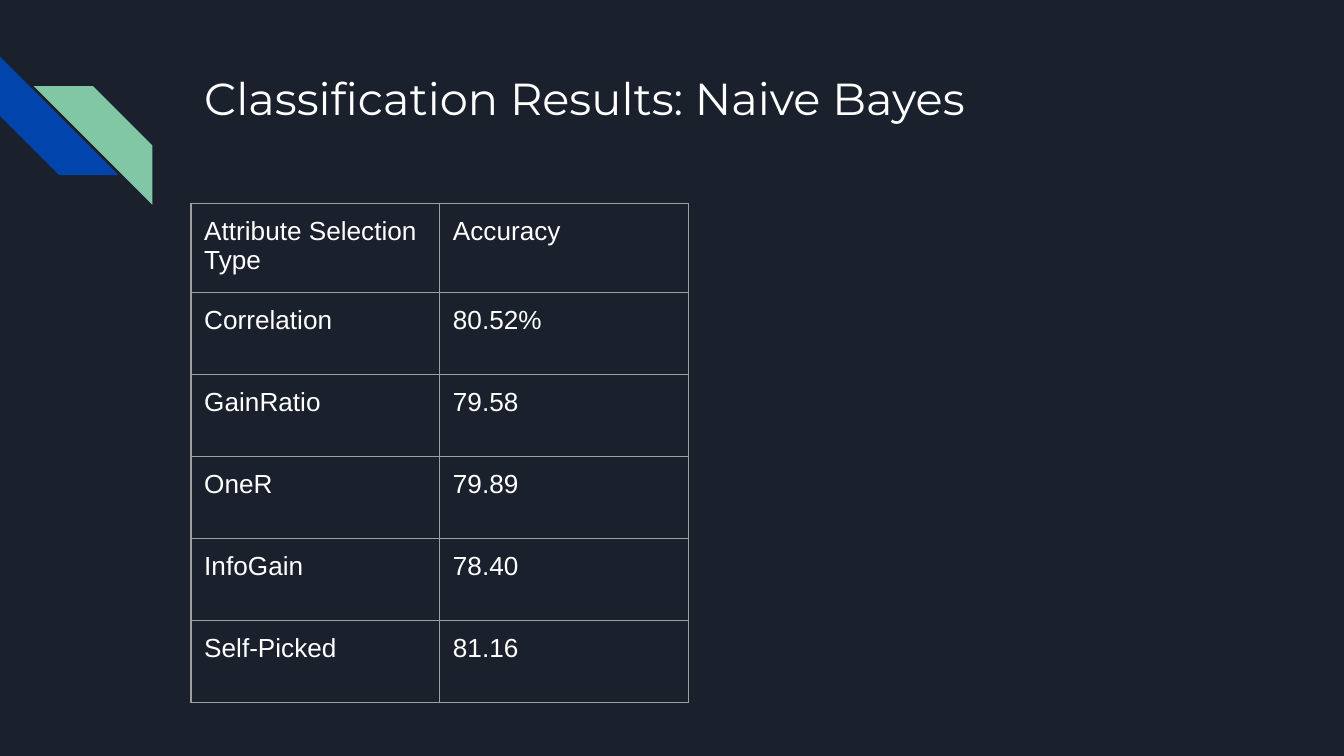
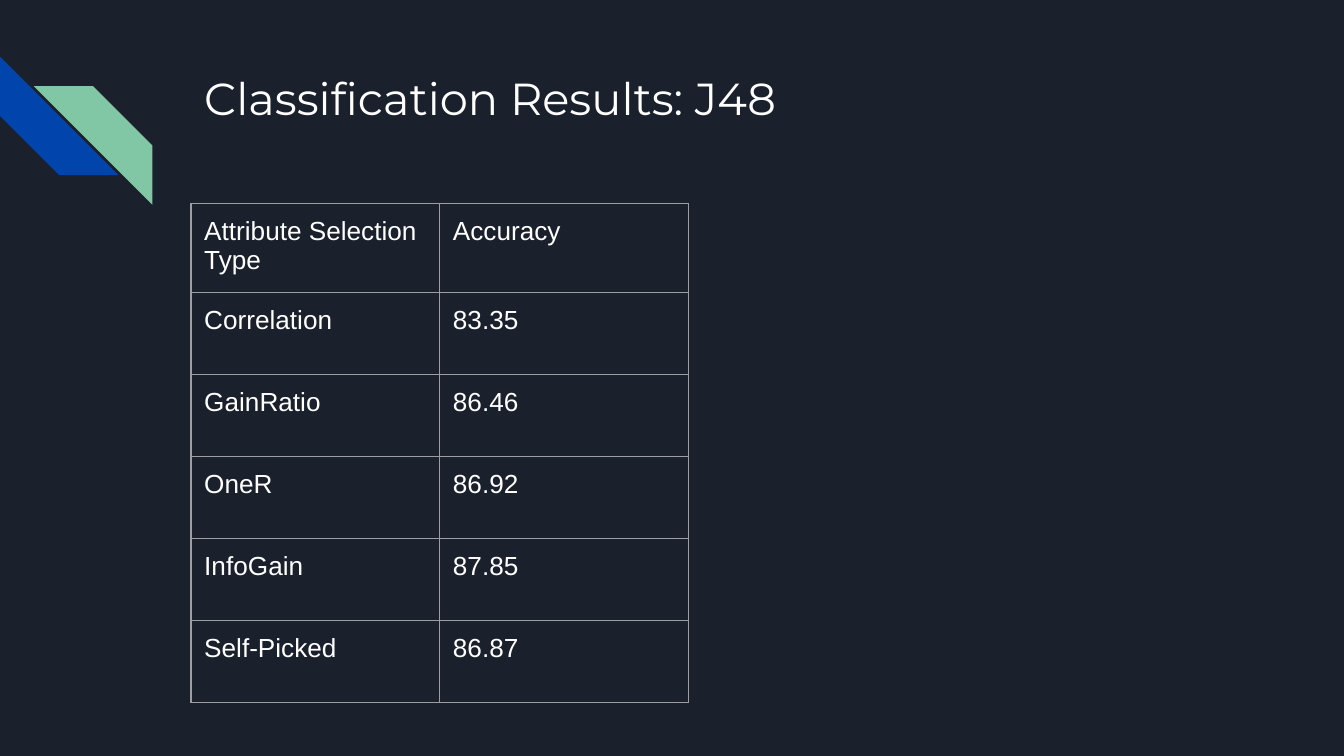
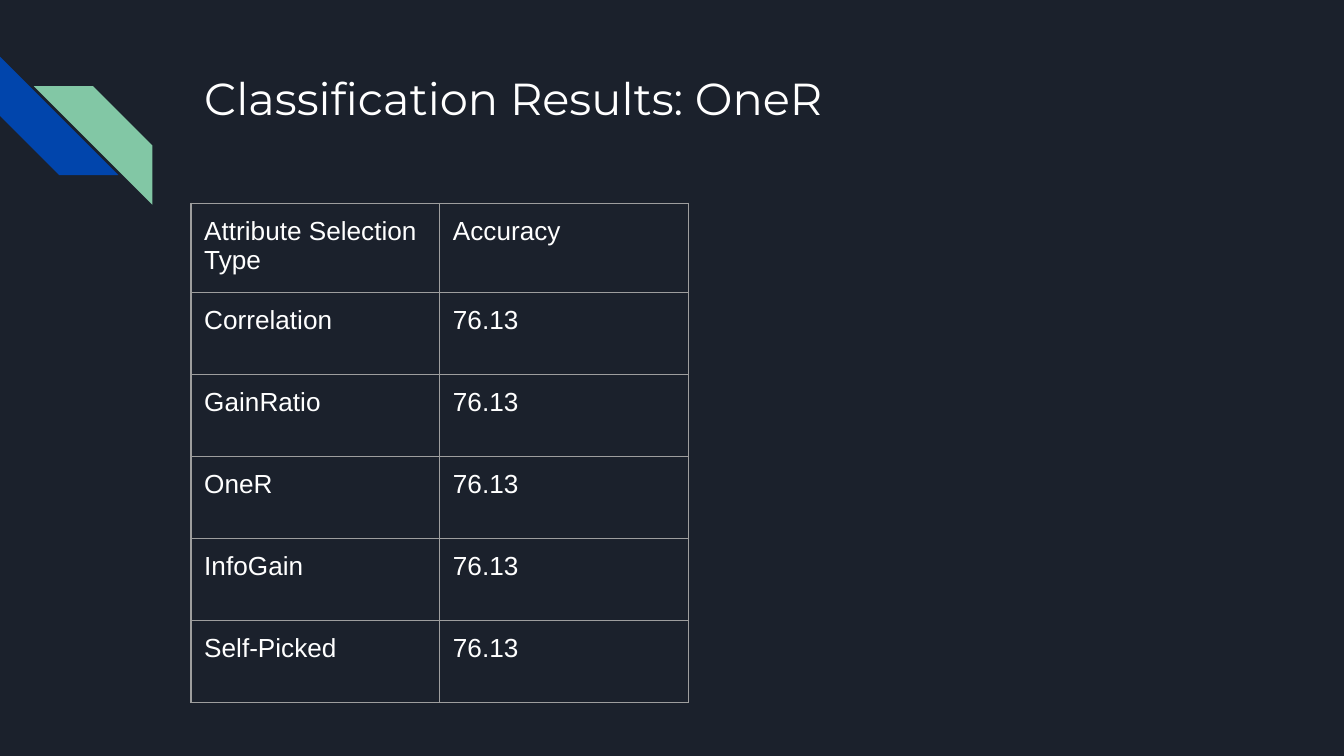
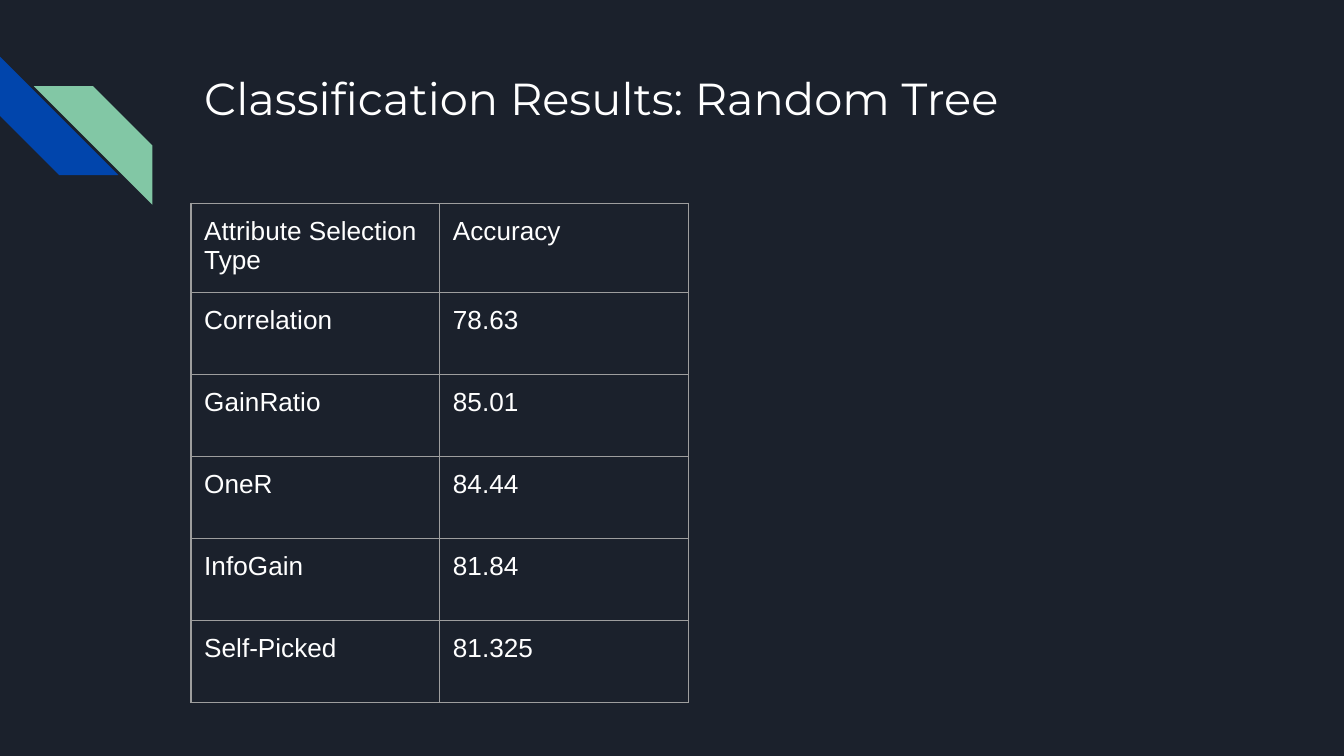
"""Builds four slides of classification accuracy by attribute selection type."""
from lxml.etree import SubElement
from pptx import Presentation
from pptx.dml.color import RGBColor
from pptx.enum.shapes import MSO_SHAPE as Preset
from pptx.enum.text import MSO_ANCHOR as Anchor
from pptx.oxml.ns import qn
from pptx.util import Cm, Pt

HEADINGS = ("Attribute Selection Type", "Accuracy")
SELECTION_TYPES = ("Correlation", "GainRatio", "OneR", "InfoGain", "Self-Picked")
RESULTS = {
    "Naive Bayes": ("80.52%", "79.58", "79.89", "78.40", "81.16"),
    "J48": ("83.35", "86.46", "86.92", "87.85", "86.87"),
    "OneR": ("76.13", "76.13", "76.13", "76.13", "76.13"),
    "Random Tree": ("78.63", "85.01", "84.44", "81.84", "81.325"),
}

NAVY = RGBColor(0x1B, 0x21, 0x2C)
BLUE = RGBColor(0x01, 0x45, 0xAC)
GREEN = RGBColor(0x82, 0xC7, 0xA5)
WHITE = RGBColor(0xFF, 0xFF, 0xFF)
GREY = RGBColor(0x9E, 0x9E, 0x9E)

STRIPES = ((0, 1.07, 270, BLUE), (0.64, 1.63, 90, GREEN))
STRIPE_SIZE = Cm(2.24)
LEFT = Cm(3.61)
COLUMN_WIDTH, ROW_HEIGHT = Cm(4.7), Cm(1.55)
TITLE_FONT = {"name": "Montserrat", "size": Pt(24)}
CELL_FONT = {"name": "Arial", "size": Pt(14)}
INSETS = dict.fromkeys(("margin_left", "margin_top", "margin_right", "margin_bottom"), Cm(0.25))


def apply(target, values):
    for name, value in values.items():
        setattr(target, name, value)


def write(paragraph, text, font):
    run = paragraph.add_run()
    run.text = text
    apply(run.font, font)
    run.font.color.rgb = WHITE


def add_stripes(slide):
    for left, top, rotation, colour in STRIPES:
        stripe = slide.shapes.add_shape(Preset.DIAGONAL_STRIPE, Cm(left), Cm(top), STRIPE_SIZE, STRIPE_SIZE)
        stripe.adjustments[0] = 0.5
        stripe.rotation = rotation
        stripe.shadow.inherit = False
        stripe.fill.solid()
        stripe.fill.fore_color.rgb = colour
        stripe.line.fill.background()


def add_title(slide, classifier):
    frame = slide.shapes.add_textbox(LEFT, Cm(1.09), Cm(19.56), Cm(2.54)).text_frame
    apply(frame, {**INSETS, "word_wrap": True, "vertical_anchor": Anchor.TOP})
    write(frame.paragraphs[0], f"Classification Results: {classifier}", TITLE_FONT)


def add_borders(cell):
    properties = cell._tc.get_or_add_tcPr()
    for side in ("a:lnL", "a:lnR", "a:lnT", "a:lnB"):
        line = SubElement(properties, qn(side), w=str(Pt(0.75)))
        fill = SubElement(line, qn("a:solidFill"))
        SubElement(fill, qn("a:srgbClr"), val=str(GREY))


def add_accuracy_table(slide, accuracies):
    rows = [HEADINGS, *zip(SELECTION_TYPES, accuracies)]
    table = slide.shapes.add_table(
        len(rows), len(HEADINGS), LEFT, Cm(3.84),
        COLUMN_WIDTH * len(HEADINGS), ROW_HEIGHT * len(rows),
    ).table
    apply(table, {"first_row": False, "horz_banding": False})
    for column in table.columns:
        column.width = COLUMN_WIDTH
    for row, texts in zip(table.rows, rows):
        row.height = ROW_HEIGHT
        for cell, text in zip(row.cells, texts):
            apply(cell, INSETS)
            add_borders(cell)
            cell.fill.background()
            write(cell.text_frame.paragraphs[0], text, CELL_FONT)


def main():
    deck = Presentation()
    apply(deck, {"slide_width": Cm(25.4), "slide_height": Cm(14.29)})
    backdrop = deck.slide_master.background.fill
    backdrop.solid()
    backdrop.fore_color.rgb = NAVY
    for classifier, accuracies in RESULTS.items():
        slide = deck.slides.add_slide(deck.slide_layouts[6])
        add_stripes(slide)
        add_title(slide, classifier)
        add_accuracy_table(slide, accuracies)
    deck.save("out.pptx")


if __name__ == "__main__":
    main()
